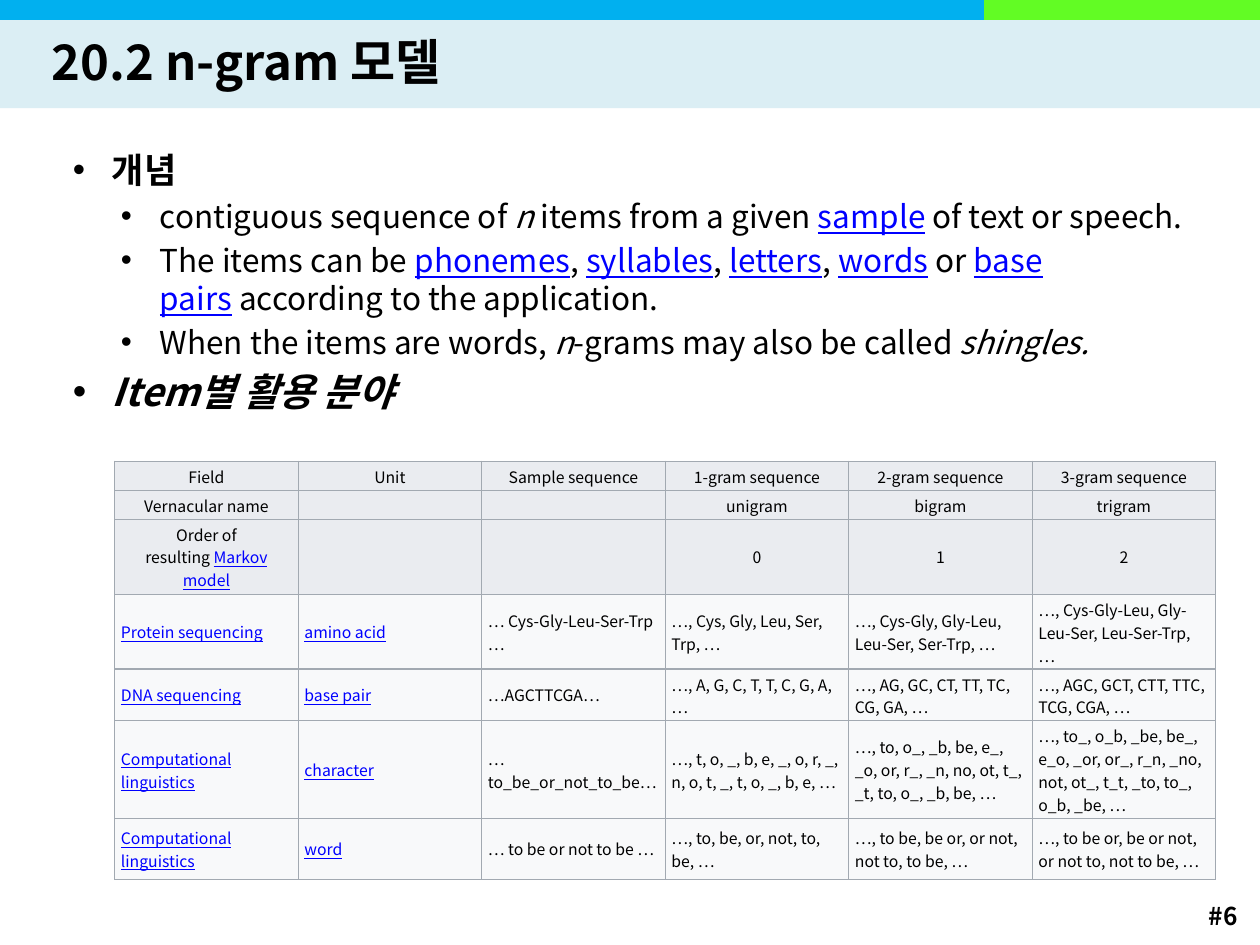
from lxml.etree import SubElement
from pptx import Presentation
from pptx.dml.color import RGBColor
from pptx.enum.shapes import MSO_SHAPE
from pptx.enum.text import MSO_ANCHOR, PP_ALIGN
from pptx.oxml.ns import qn
from pptx.util import Inches, Pt

FONT = "Noto Sans CJK KR"
BLACK, LINK_BLUE, BORDER = "000000", "0000FF", "A2A9B1"
HEADER_FILL, BODY_FILL = "EAECF0", "F8F9FA"
HEADER_ROWS, LINK_COLUMNS = 3, 2
HARD_SPACE = chr(160)

# Each bullet: level, size, bold, spans; a span is (text, style).
BULLETS = [
    (0, 20, True, [("개념", "")]),
    (1, 18, False, [("contiguous sequence of ", ""), ("n", "italic"),
                    (" items from a given ", ""), ("sample", "link"),
                    (" of text or speech.", "")]),
    (1, 18, False, [("The items can be ", ""), ("phonemes", "link"), (", ", ""),
                    ("syllables", "link"), (", ", ""), ("letters", "link"),
                    (", ", ""), ("words", "link"), (" or ", ""),
                    ("base pairs", "link"), (" according to the application.", "")]),
    (1, 18, False, [("When the items are words, ", ""), ("n", "italic"),
                    ("-grams may also be called ", ""), ("shingles.", "italic")]),
    (0, 22, True, [("Item별 활용 분야", "italic")]),
]

ROW_HEIGHTS = [0.23, 0.23, 0.6, 0.59, 0.41, 0.78, 0.48]
ROWS = [
    ["Field", "Unit", "Sample sequence", "1-gram sequence", "2-gram sequence",
     "3-gram sequence"],
    ["Vernacular name", "", "", "unigram", "bigram", "trigram"],
    [[("Order of resulting ", ""), ("Markov model", "link")], "", "", "0", "1", "2"],
    ["Protein sequencing", "amino acid", "… Cys-Gly-Leu-Ser-Trp …",
     "…, Cys, Gly, Leu, Ser, Trp, …",
     "…, Cys-Gly, Gly-Leu, Leu-Ser, Ser-Trp, …",
     "…, Cys-Gly-Leu, Gly-Leu-Ser, Leu-Ser-Trp, …"],
    ["DNA sequencing", "base pair", "…AGCTTCGA…",
     "…, A, G, C, T, T, C, G, A, …",
     "…, AG, GC, CT, TT, TC, CG, GA, …",
     "…, AGC, GCT, CTT, TTC, TCG, CGA, …"],
    ["Computational linguistics", "character", "…to_be_or_not_to_be…",
     "…, t, o, _, b, e, _, o, r, _, n, o, t, _, t, o, _, b, e, …",
     "…, to, o_, _b, be, e_, _o, or, r_, _n, no, ot, t_, _t, to, o_, _b, be, …",
     "…, to_, o_b, _be, be_, e_o, _or, or_, r_n, _no, not, ot_, t_t, _to, to_, o_b, _be, …"],
    ["Computational linguistics", "word", "… to be or not to be …",
     "…, to, be, or, not, to, be, …",
     "…, to be, be or, or not, not to, to be, …",
     "…, to be or, be or not, or not to, not to be, …"],
]


def color(hex_string):
    return RGBColor.from_string(hex_string)


def harden_edges(text):
    """Make a space at either end non-breaking, so spans stay joined."""
    if text.startswith(" "):
        text = HARD_SPACE + text[1:]
    if text.endswith(" "):
        text = text[:-1] + HARD_SPACE
    return text


def add_span(para, text, size, bold=False, style=""):
    span = para.add_run()
    span.text = harden_edges(text)
    font = span.font
    font.name, font.size, font.bold = FONT, Pt(size), bold
    font.italic = style == "italic"
    font.underline = style == "link"
    font.color.rgb = color(LINK_BLUE if style == "link" else BLACK)
    SubElement(font._element, qn("a:ea"), typeface=FONT)


def add_text_box(page, left, top, width, height, anchor):
    box = page.shapes.add_textbox(Inches(left), Inches(top), Inches(width), Inches(height))
    box.text_frame.word_wrap = True
    box.text_frame.vertical_anchor = anchor
    return box.text_frame


def add_band(page, left, top, width, height, fill):
    band = page.shapes.add_shape(MSO_SHAPE.RECTANGLE, Inches(left), Inches(top),
                                 Inches(width), Inches(height))
    band.shadow.inherit = False
    band.fill.solid()
    band.fill.fore_color.rgb = color(fill)
    band.line.fill.background()


def add_header(page, left, top, width):
    blue_width, stripe_height = 7.81, 0.16
    add_band(page, left, top, blue_width, stripe_height, "01B0EF")
    add_band(page, left + blue_width, top, width - blue_width, stripe_height, "62FC24")
    add_band(page, left, top + stripe_height, width, 0.7, "DBEEF4")
    frame = add_text_box(page, left + 0.31, top + 0.27, width - 0.62, 0.43,
                         MSO_ANCHOR.MIDDLE)
    add_span(frame.paragraphs[0], "20.2 n-gram 모델", 28, bold=True)


def set_bullet(para, level):
    para.level = level
    properties = para._p.get_or_add_pPr()
    properties.set("marL", str(Inches((0.31, 0.69)[level])))
    properties.set("indent", str(-Inches(0.31)))
    SubElement(properties, qn("a:buFont"), typeface="Arial")
    SubElement(properties, qn("a:buChar"), char="•")


def add_bullets(page, left, top, width, height):
    frame = add_text_box(page, left, top, width, height, MSO_ANCHOR.TOP)
    for index, (level, size, bold, spans) in enumerate(BULLETS):
        para = frame.add_paragraph() if index else frame.paragraphs[0]
        set_bullet(para, level)
        para.line_spacing = 1.0
        if index:
            para.space_before = Pt(size * 0.2)
        for text, style in spans:
            add_span(para, text, size, bold, style)


def set_borders(cell):
    properties = cell._tc.get_or_add_tcPr()
    for index, side in enumerate(("lnL", "lnR", "lnT", "lnB")):
        line = properties.makeelement(qn(f"a:{side}"), {"w": str(Pt(0.75))})
        fill = SubElement(line, qn("a:solidFill"))
        SubElement(fill, qn("a:srgbClr"), val=BORDER)
        properties.insert(index, line)


def fill_cell(cell, content, is_header, is_link):
    cell.fill.solid()
    cell.fill.fore_color.rgb = color(HEADER_FILL if is_header else BODY_FILL)
    set_borders(cell)
    cell.vertical_anchor = MSO_ANCHOR.MIDDLE
    cell.margin_left = cell.margin_right = Inches(0.05)
    cell.margin_top = cell.margin_bottom = Inches(0.03)
    para = cell.text_frame.paragraphs[0]
    if not content:
        SubElement(para._p, qn("a:endParaRPr"), sz="900")
        return
    para.alignment = PP_ALIGN.CENTER if is_header else PP_ALIGN.LEFT
    if isinstance(content, str):
        content = [(content, "link" if is_link else "")]
    for text, style in content:
        add_span(para, text, 9, style=style)


def add_ngram_table(page, left, top, width):
    columns = len(ROWS[0])
    table = page.shapes.add_table(len(ROWS), columns, Inches(left), Inches(top),
                                  Inches(width), Inches(sum(ROW_HEIGHTS))).table
    table.first_row = table.horz_banding = False
    for column in table.columns:
        column.width = Inches(width / columns)
    for row_index, (height, row) in enumerate(zip(ROW_HEIGHTS, ROWS)):
        table.rows[row_index].height = Inches(height)
        is_header = row_index < HEADER_ROWS
        for column_index, content in enumerate(row):
            is_link = not is_header and column_index < LINK_COLUMNS
            fill_cell(table.cell(row_index, column_index), content, is_header, is_link)


def add_page_number(page, left, top, width, height):
    frame = add_text_box(page, left, top, width, height, MSO_ANCHOR.MIDDLE)
    para = frame.paragraphs[0]
    para.alignment = PP_ALIGN.RIGHT
    add_span(para, "#6", 14, bold=True)


def main():
    deck = Presentation()
    deck.slide_width, deck.slide_height = Inches(10), Inches(7.5)
    page = deck.slides.add_slide(deck.slide_layouts[6])
    add_page_number(page, 9.3, 7.11, 0.62, 0.31)
    add_header(page, 0, 0, 10)
    add_bullets(page, 0.48, 1.13, 9.05, 5.82)
    add_ngram_table(page, 0.91, 3.66, 8.74)
    deck.save("out.pptx")


if __name__ == "__main__":
    main()
